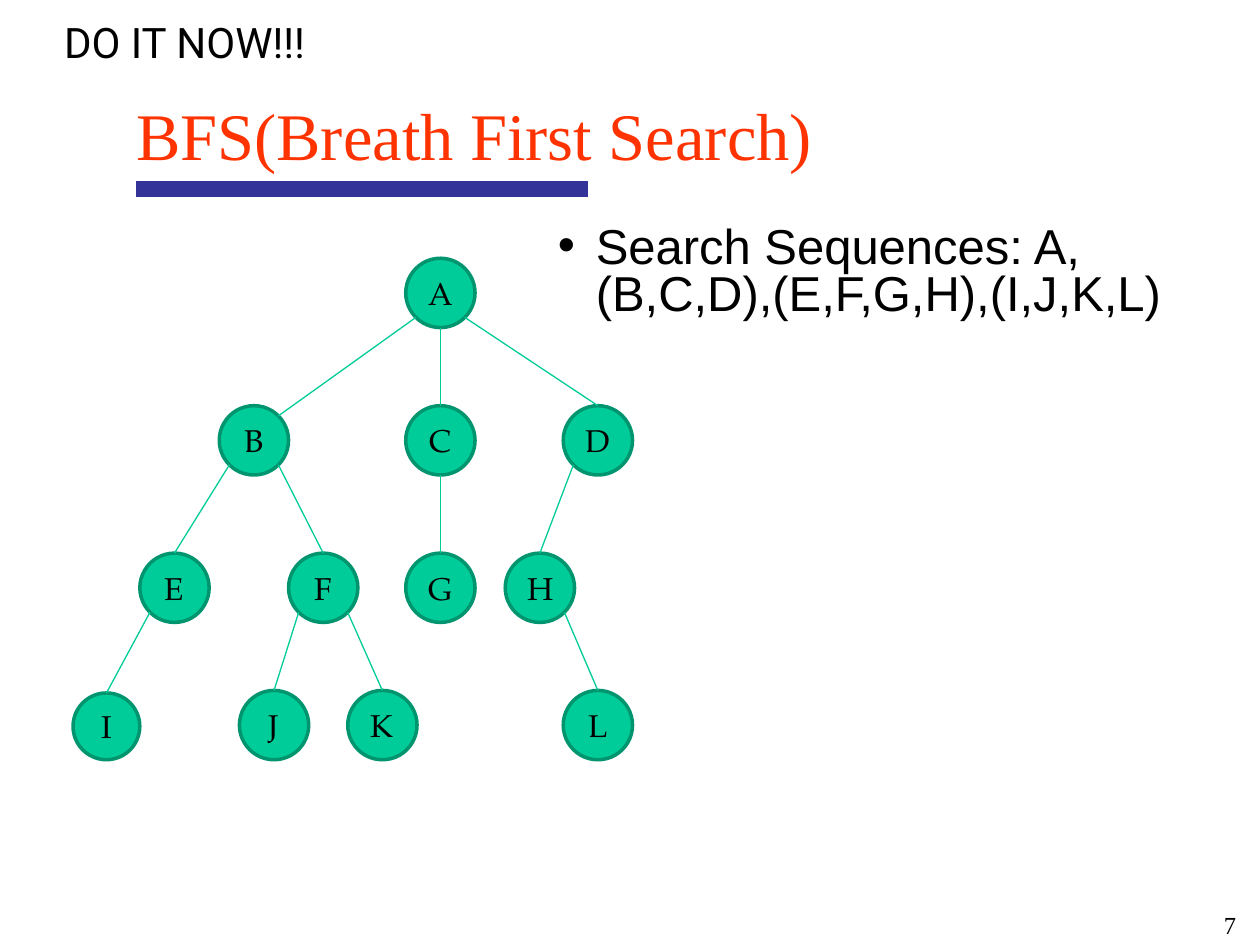
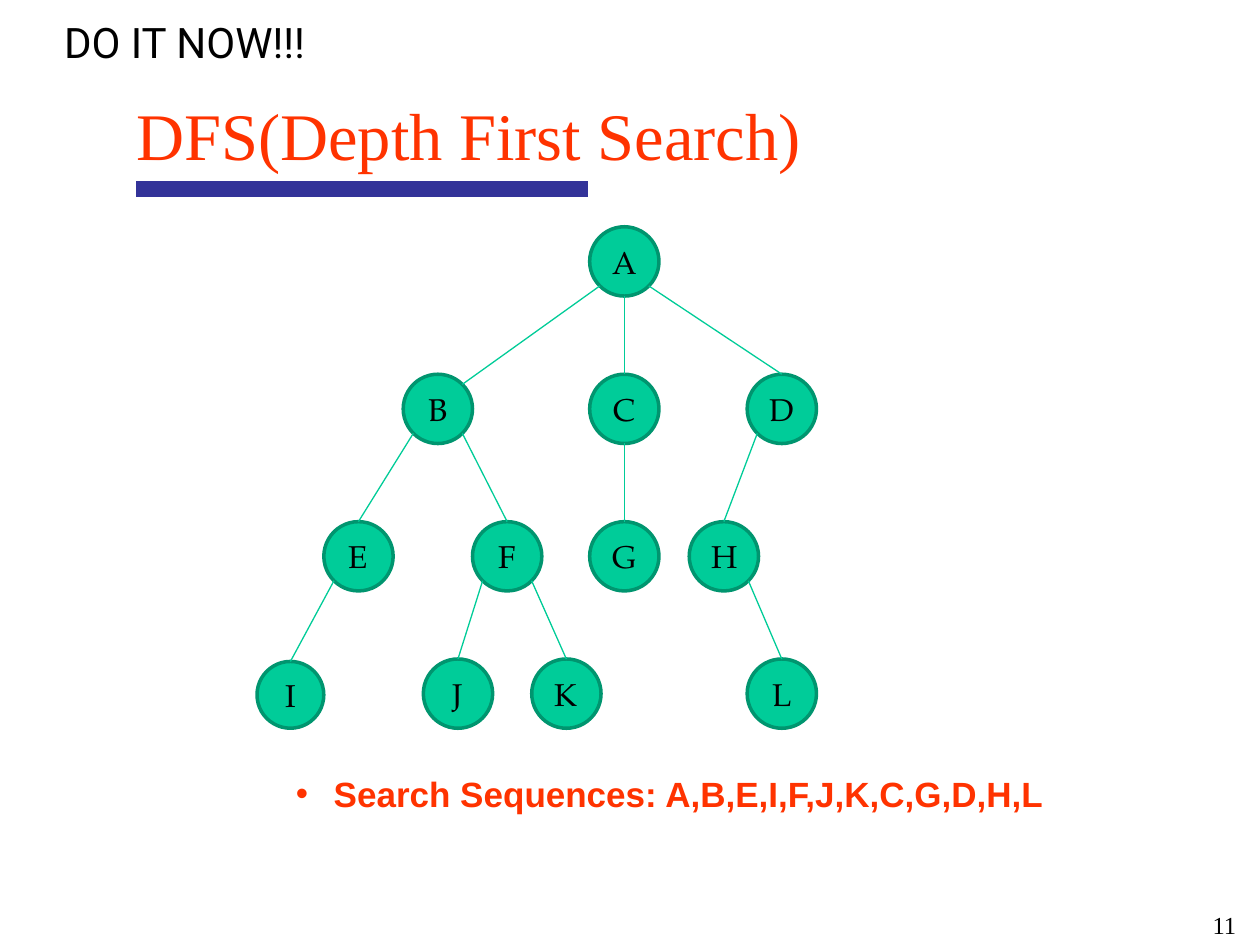
from math import sqrt

from lxml import etree
from pptx import Presentation, util as u
from pptx.dml.color import RGBColor
from pptx.enum import shapes, text
from pptx.oxml.ns import qn

COLOURS = {
    "ink": "000000",
    "title": "FF3300",
    "rule": "333399",
    "node": "00CC99",
    "node_edge": "00956F",
    "branch": "00CC98",
}
NODE_SIZE = 0.55
NODES = {
    "A": (3.22, 2.05),
    "B": (1.74, 3.22), "C": (3.22, 3.22), "D": (4.47, 3.22),
    "E": (1.11, 4.39), "F": (2.29, 4.39), "G": (3.22, 4.39), "H": (4.01, 4.39),
    "I": (0.58, 5.5), "J": (1.9, 5.48), "K": (2.76, 5.48), "L": (4.47, 5.48),
}
BRANCHES = ["AB", "AC", "AD", "BE", "BF", "CG", "DH", "EI", "FJ", "FK", "HL"]
SLIDES = [
    {
        "title": "BFS(Breath First Search)", "number": "7",
        "shift": (0, 0),
        "sequence": "Search Sequences: A,(B,C,D),(E,F,G,H),(I,J,K,L)",
        "place": (4.33, 1.75, 5.42, 0.92),
        "size": 28, "colour": "ink", "bold": False, "spacing": 0.8,
    },
    {
        "title": "DFS(Depth First Search)", "number": "11",
        "shift": (1.46, -0.25),
        "sequence": "Search Sequences: A,B,E,I,F,J,K,C,G,D,H,L",
        "place": (2.25, 6.08, 6.25, 0.67),
        "size": 20, "colour": "title", "bold": True, "spacing": 1.0,
    },
]


def write(box, words, font, size, colour="ink", align=text.PP_ALIGN.LEFT):
    frame = box.text_frame
    frame.text = words
    frame.word_wrap = True
    para = frame.paragraphs[0]
    para.alignment = align
    span = para.runs[0]
    span.font.name = font
    span.font.size = u.Pt(size)
    span.font.color.rgb = RGBColor.from_string(COLOURS[colour])
    return frame


def draw_line(page, start, end, colour, width):
    ends = [u.Inches(value) for value in (*start, *end)]
    line = page.shapes.add_connector(shapes.MSO_CONNECTOR.STRAIGHT, *ends)
    line.line.color.rgb = RGBColor.from_string(COLOURS[colour])
    line.line.width = u.Pt(width)
    etree.SubElement(line._element.spPr, qn("a:effectLst"))


deck = Presentation()
deck.slide_width = u.Inches(10)
deck.slide_height = u.Inches(7.5)

for content in SLIDES:
    page = deck.slides.add_slide(deck.slide_layouts[6])
    draw_line(page, (1.08, 1.5), (4.67, 1.5), "rule", 9.5)

    box = page.shapes.add_textbox(*map(u.Inches, (0.41, 0.08, 2.61, 0.5)))
    write(box, "DO IT NOW!!!", "Roboto", 24)

    box = page.shapes.add_textbox(*map(u.Inches, (7.83, 7.17, 2.08, 0.25)))
    write(box, content["number"], "Times New Roman", 14, align=text.PP_ALIGN.RIGHT)

    box = page.shapes.add_textbox(*map(u.Inches, content["place"]))
    frame = write(box, content["sequence"], "Arial", content["size"], content["colour"])
    para = frame.paragraphs[0]
    props = para._p.get_or_add_pPr()
    props.set("marL", str(u.Inches(0.3)))
    props.set("indent", str(u.Inches(-0.3)))
    bullet_colour = etree.SubElement(props, qn("a:buClr"))
    etree.SubElement(bullet_colour, qn("a:srgbClr"), val=COLOURS[content["colour"]])
    etree.SubElement(props, qn("a:buFont"), typeface="Arial")
    etree.SubElement(props, qn("a:buChar"), char="•")
    para.line_spacing = content["spacing"]
    para.runs[0].font.bold = content["bold"]

    shift_x, shift_y = content["shift"]
    circles = {}
    for name, (left, top) in NODES.items():
        size = 0.53 if name == "I" else NODE_SIZE
        left, top = left + shift_x, top + shift_y
        circles[name] = (left + size / 2, top + size / 2, size / 2)
        node = page.shapes.add_shape(
            shapes.MSO_SHAPE.OVAL, *map(u.Inches, (left, top, size, size)))
        node.shadow.inherit = False
        node.fill.solid()
        node.fill.fore_color.rgb = RGBColor.from_string(COLOURS["node"])
        node.line.color.rgb = RGBColor.from_string(COLOURS["node_edge"])
        node.line.width = u.Pt(2)
        frame = write(node, name, "TeX Gyre Pagella", 18, align=text.PP_ALIGN.CENTER)
        frame.vertical_anchor = text.MSO_ANCHOR.MIDDLE

    for parent, child in BRANCHES:
        x, y, radius = circles[parent]
        child_x, child_y, child_radius = circles[child]
        diagonal = radius / sqrt(2)
        if abs(child_x - x) < 0.01:
            start = (x, y + radius)
        else:
            side = 1 if child_x > x else -1
            start = (x + side * diagonal, y + diagonal)
        end = (child_x, child_y - child_radius)
        if child == "B":
            end = (child_x + diagonal, child_y - diagonal)
        draw_line(page, start, end, "branch", 0.75)

    box = page.shapes.add_textbox(*map(u.Inches, (1.08, 0.75, 5.6, 0.63)))
    frame = write(box, content["title"], "Times New Roman", 38, "title")
    frame.margin_left = frame.margin_right = frame.margin_top = frame.margin_bottom = 0

deck.save("out.pptx")
